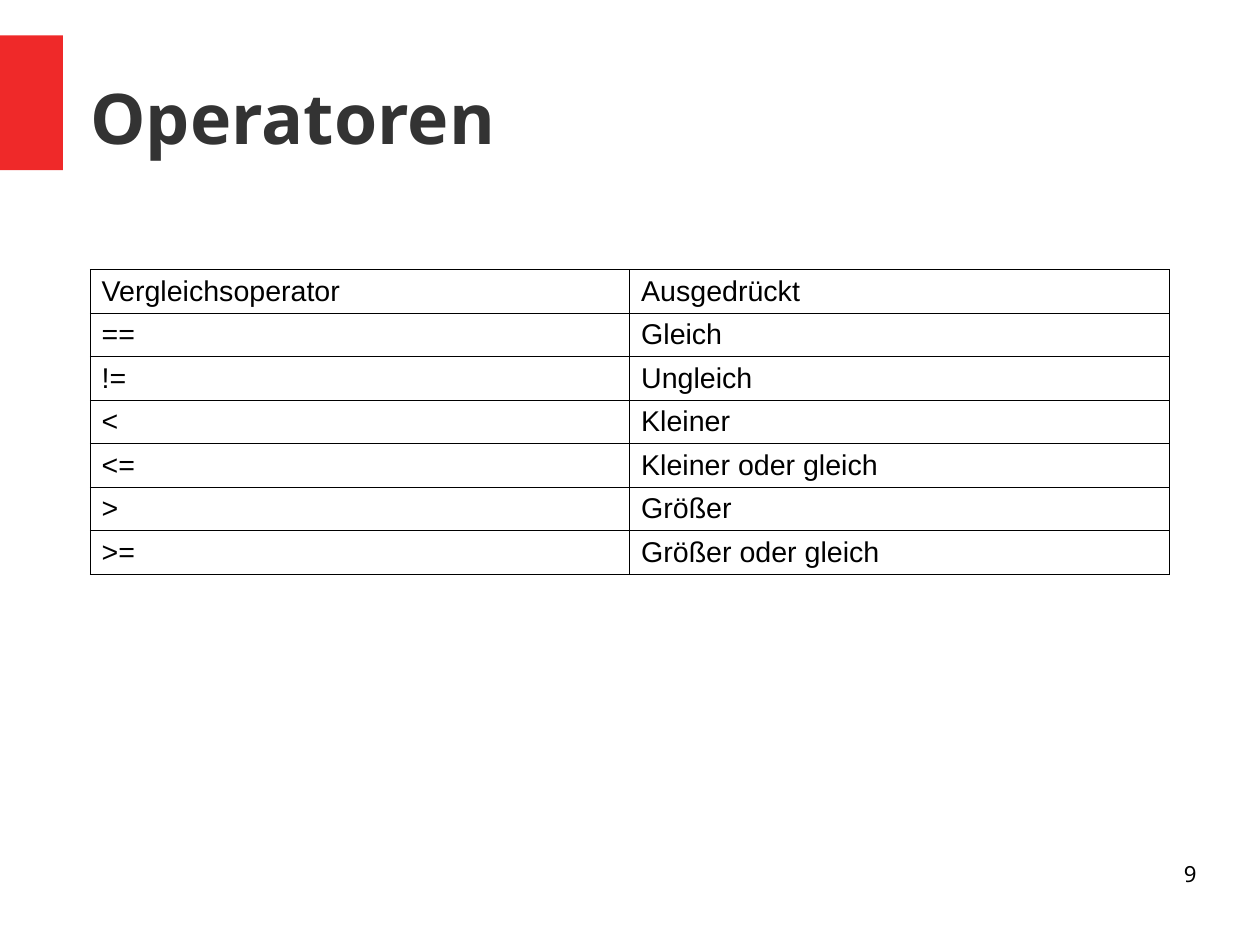
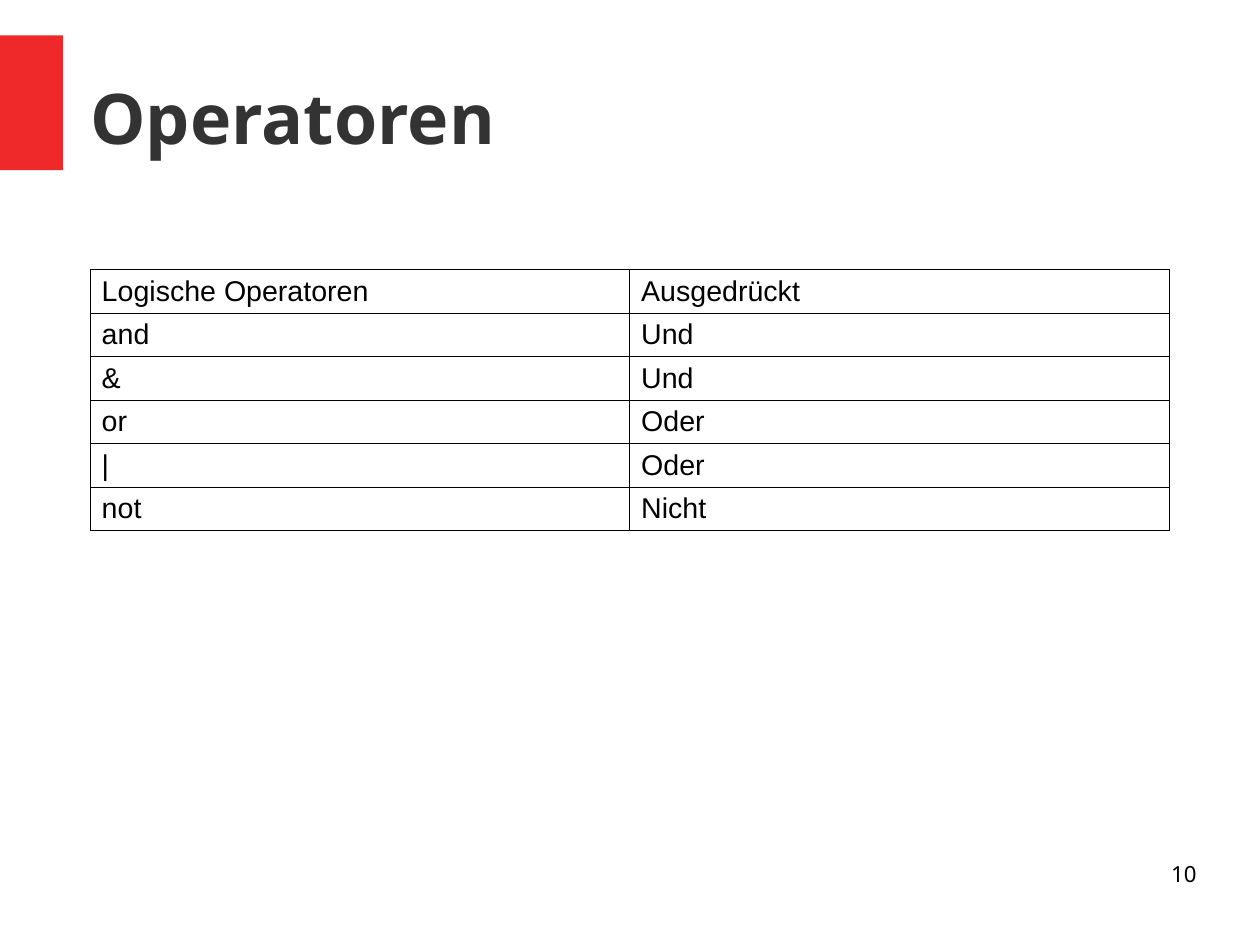
import pptx
import pptx.dml.color
import pptx.enum.shapes
import pptx.enum.text
import pptx.oxml
import pptx.oxml.ns
import pptx.util
from pptx.util import Inches

RED = "EF2929"
DARK_GREY = "333333"
BLACK = "000000"
HEADING_FONT = "Noto Sans"
TABLE_FONT = "Arial"
LEFT = 0.79
COLUMN_WIDTH = 4.72
ROW_HEIGHT = 0.38
BORDER_WIDTH = 0.57
FIRST_NUMBER = 9

TITLE = "Operatoren"
COMPARISON_ROWS = [
    ("Vergleichsoperator", "Ausgedrückt"),
    ("==", "Gleich"),
    ("!=", "Ungleich"),
    ("<", "Kleiner"),
    ("<=", "Kleiner oder gleich"),
    (">", "Größer"),
    (">=", "Größer oder gleich"),
]
LOGICAL_ROWS = [
    ("Logische Operatoren", "Ausgedrückt"),
    ("and", "Und"),
    ("&", "Und"),
    ("or", "Oder"),
    ("|", "Oder"),
    ("not", "Nicht"),
]


def color(value):
    return pptx.dml.color.RGBColor.from_string(value)


def set_text(text_frame, text, font_name, size, font_color, bold=False,
             alignment=pptx.enum.text.PP_ALIGN.LEFT):
    text_frame.text = text
    paragraph = text_frame.paragraphs[0]
    paragraph.alignment = alignment
    font = paragraph.runs[0].font
    font.name = font_name
    font.size = pptx.util.Pt(size)
    font.bold = bold
    font.color.rgb = color(font_color)


def remove_insets(text_frame):
    text_frame.margin_left = text_frame.margin_right = 0
    text_frame.margin_top = text_frame.margin_bottom = 0
    text_frame.word_wrap = True
    text_frame.auto_size = pptx.enum.text.MSO_AUTO_SIZE.NONE


def add_band(slide):
    band = slide.shapes.add_shape(
        pptx.enum.shapes.MSO_SHAPE.RECTANGLE,
        0, Inches(0.31), Inches(0.55), Inches(1.18))
    band.shadow.inherit = False
    band.fill.solid()
    band.fill.fore_color.rgb = color(RED)
    band.line.fill.background()


def set_title(slide, text):
    title = slide.shapes.title
    title.left, title.top = Inches(LEFT), Inches(0.33)
    title.width, title.height = Inches(9.68), Inches(1.38)
    remove_insets(title.text_frame)
    title.text_frame.vertical_anchor = pptx.enum.text.MSO_ANCHOR.MIDDLE
    set_text(title.text_frame, text, HEADING_FONT, 44, DARK_GREY, bold=True)


def add_page_number(slide, number):
    box = slide.shapes.add_textbox(
        Inches(7.9), Inches(7.53), Inches(2.57), Inches(0.57))
    remove_insets(box.text_frame)
    set_text(box.text_frame, str(number), HEADING_FONT, 14, BLACK,
             alignment=pptx.enum.text.PP_ALIGN.RIGHT)


def set_borders(cell):
    properties = cell._tc.get_or_add_tcPr()
    for index, side in enumerate(("lnL", "lnR", "lnT", "lnB")):
        border = pptx.oxml.parse_xml(
            f'<a:{side} {pptx.oxml.ns.nsdecls("a")} '
            f'w="{pptx.util.Pt(BORDER_WIDTH)}"><a:solidFill>'
            f'<a:srgbClr val="{BLACK}"/></a:solidFill></a:{side}>')
        properties.insert(index, border)


def add_operator_table(slide, rows):
    column_count = len(rows[0])
    frame = slide.shapes.add_table(
        len(rows), column_count, Inches(LEFT), Inches(2.36),
        Inches(COLUMN_WIDTH * column_count), Inches(ROW_HEIGHT * len(rows)))
    table = frame.table
    table.first_row = False
    table.horz_banding = False
    for row_index, row in enumerate(rows):
        for column_index, text in enumerate(row):
            cell = table.cell(row_index, column_index)
            cell.fill.background()
            set_borders(cell)
            set_text(cell.text_frame, text, TABLE_FONT, 18, BLACK)


def add_operator_slide(presentation, number, rows):
    slide = presentation.slides.add_slide(presentation.slide_layouts[5])
    add_band(slide)
    set_title(slide, TITLE)
    add_operator_table(slide, rows)
    add_page_number(slide, number)


def main():
    presentation = pptx.Presentation()
    presentation.slide_width = pptx.util.Cm(28)
    presentation.slide_height = pptx.util.Cm(21)
    for number, rows in enumerate((COMPARISON_ROWS, LOGICAL_ROWS), FIRST_NUMBER):
        add_operator_slide(presentation, number, rows)
    presentation.save("out.pptx")


if __name__ == "__main__":
    main()
